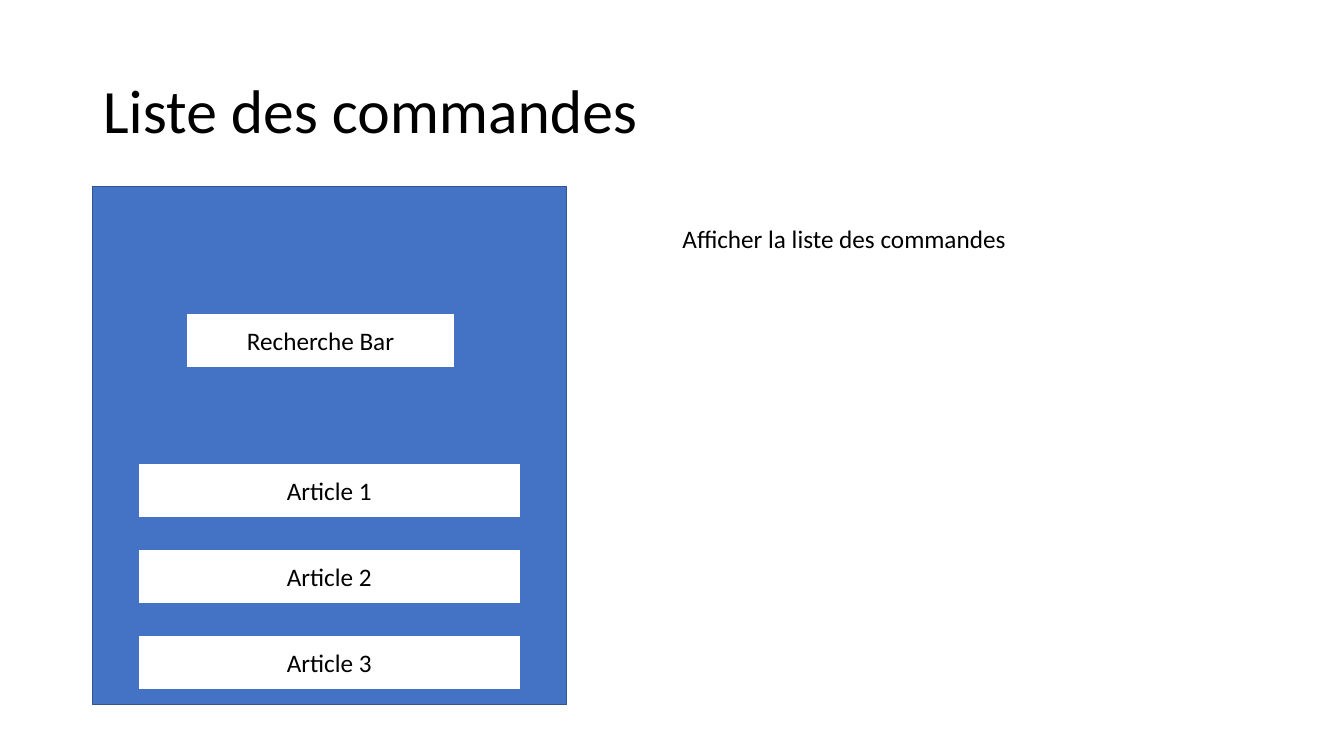
from dataclasses import dataclass

import pptx
import pptx.dml.color
import pptx.enum.shapes
import pptx.enum.text
import pptx.util

EMU_PER_PX = 9144
FONT_NAME = "Calibri"
COLOURS = {
    "panel": "4472C4",
    "panel_border": "325491",
    "field": "FFFFFF",
    "text": "000000",
}
ALIGN = pptx.enum.text.PP_ALIGN
ANCHOR = pptx.enum.text.MSO_ANCHOR


@dataclass(frozen=True)
class Area:
    left: int
    top: int
    width: int
    height: int

    def to_emu(self) -> tuple[int, int, int, int]:
        lengths = (self.left, self.top, self.width, self.height)
        return tuple(length * EMU_PER_PX for length in lengths)


@dataclass(frozen=True)
class Box:
    area: Area
    fill: str
    border: str
    label: str = ""


ARTICLE_TOP = 460
ARTICLE_STEP = 85
BOXES = [
    Box(Area(92, 185, 470, 514), "panel", "panel_border"),
    Box(Area(185, 311, 266, 54), "field", "panel", "Recherche Bar"),
] + [
    Box(
        Area(137, ARTICLE_TOP + index * ARTICLE_STEP, 379, 54),
        "field",
        "panel",
        f"Article {index + 1}",
    )
    for index in range(3)
]


def colour(name: str) -> pptx.dml.color.RGBColor:
    return pptx.dml.color.RGBColor.from_string(COLOURS[name])


def write_text(shape, text: str, size: int, alignment, frame_format: dict) -> None:
    text_frame = shape.text_frame
    for name, value in frame_format.items():
        setattr(text_frame, name, value)
    paragraph = text_frame.paragraphs[0]
    paragraph.alignment = alignment
    run = paragraph.add_run()
    run.text = text
    font_format = {"name": FONT_NAME, "size": pptx.util.Pt(size)}
    for name, value in font_format.items():
        setattr(run.font, name, value)
    run.font.color.rgb = colour("text")


def write_title(slide, text: str, area: Area) -> None:
    title = slide.shapes.title
    title.left, title.top, title.width, title.height = area.to_emu()
    write_text(title, text, 44, ALIGN.LEFT, {"vertical_anchor": ANCHOR.MIDDLE})
    title.text_frame.paragraphs[0].line_spacing = 0.9


def draw_box(slide, box: Box) -> None:
    shape = slide.shapes.add_shape(
        pptx.enum.shapes.MSO_SHAPE.RECTANGLE, *box.area.to_emu()
    )
    shape.shadow.inherit = False
    shape.fill.solid()
    shape.fill.fore_color.rgb = colour(box.fill)
    shape.line.color.rgb = colour(box.border)
    shape.line.width = pptx.util.Pt(1)
    if box.label:
        frame_format = {"vertical_anchor": ANCHOR.MIDDLE, "word_wrap": True}
        write_text(shape, box.label, 18, ALIGN.CENTER, frame_format)


def write_note(slide, text: str, area: Area) -> None:
    text_box = slide.shapes.add_textbox(*area.to_emu())
    frame_format = {
        "word_wrap": False,
        "auto_size": pptx.enum.text.MSO_AUTO_SIZE.SHAPE_TO_FIT_TEXT,
    }
    write_text(text_box, text, 18, ALIGN.LEFT, frame_format)


def main() -> None:
    presentation = pptx.Presentation()
    presentation.slide_width = 1333 * EMU_PER_PX
    presentation.slide_height = 750 * EMU_PER_PX
    slide = presentation.slides.add_slide(presentation.slide_layouts[5])
    write_title(slide, "Liste des commandes", Area(92, 40, 1150, 145))
    for box in BOXES:
        draw_box(slide, box)
    write_note(slide, "Afficher la liste des commandes", Area(667, 217, 345, 40))
    presentation.save("out.pptx")


if __name__ == "__main__":
    main()
